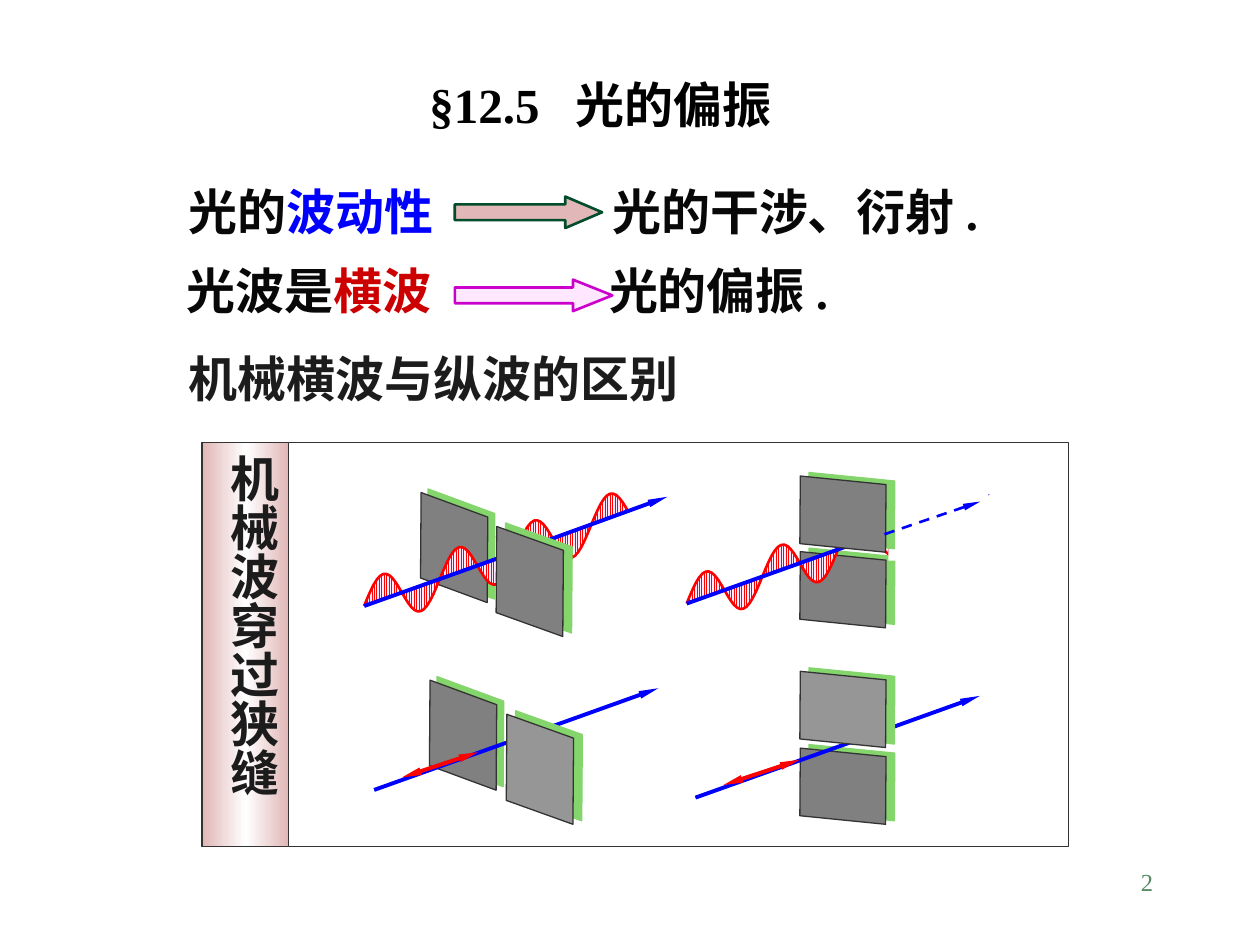
"""Build the slide on polarised light and mechanical waves passing a slit."""
from dataclasses import dataclass
from math import pi, sin
from typing import NamedTuple, Optional

from lxml.etree import SubElement
from pptx import Presentation
from pptx.dml.color import RGBColor
from pptx.enum.dml import MSO_LINE as Dash, MSO_PATTERN as Pattern
from pptx.enum.shapes import MSO_CONNECTOR as Connector, MSO_SHAPE as Shape
from pptx.enum.text import PP_ALIGN as Align
from pptx.oxml.ns import qn
from pptx.util import Pt


@dataclass(frozen=True)
class Theme:
    font: str = "Times New Roman"
    body_size: float = 28
    number_size: float = 14
    hairline: float = 0.75
    thin: float = 1.5
    thick: float = 2.25
    black: str = "000000"
    ink: str = "080808"
    soft_ink: str = "1C1C1C"
    number: str = "578963"
    blue: str = "0000FF"
    crimson: str = "CC0000"
    red: str = "FF0000"
    wave_back: str = "FFEBFF"
    rose: str = "E1B7B7"
    green: str = "004C2B"
    lilac: str = "FFE7FF"
    magenta: str = "CC00CC"
    edge: str = "333333"
    dark_slab: str = "808080"
    light_slab: str = "969696"
    slab_shadow: str = "84D56B"
    white: str = "FFFFFF"


class Box(NamedTuple):
    left: float
    top: float
    width: float
    height: float


class Point(NamedTuple):
    x: float
    y: float

    def shifted(self, dx: float, dy: float) -> "Point":
        return Point(self.x + dx, self.y + dy)


class Span(NamedTuple):
    text: str
    color: str


@dataclass(frozen=True)
class TextLine:
    box: Box
    spans: tuple[Span, ...]
    tab: Optional[float] = None
    spacing: Optional[float] = None
    size: float = Theme.body_size
    bold: bool = True
    align: Align = Align.LEFT


@dataclass(frozen=True)
class BlockArrow:
    box: Box
    head: float
    fill: str
    line: str


@dataclass(frozen=True)
class Slab:
    box: Box
    skew: float
    fill: str = Theme.dark_slab
    distance: float = 5.4
    angle: float = 338


@dataclass(frozen=True)
class Panel:
    axis: Point
    rear: Slab
    front: Slab
    transverse: bool = False
    blocked: bool = False


THEME = Theme()
HALF_AXIS = Point(81, -28.9)
FAR_AXIS = {False: Point(81.4, -29.2), True: Point(92.2, -33.5)}
MASK = Box(507.6, 277.2, 56.9, 43.2)
FADED_RAY = (Point(505.4, 305.3), Point(560.2, 286.6))
FRAME = Box(115.2, 252.7, 495.4, 231.1)
LABEL = Box(115.9, 252.7, 49, 231.1)


def upright(left: float, top: float, skew: float, **style) -> Slab:
    return Slab(Box(left, top, 62.6, 38.2), skew, **style)


def flat(top: float, **style) -> Slab:
    return Slab(Box(460.1, top, 43.2, 49), 0.105, **style)


TEXT_LINES = (
    TextLine(Box(516.2, 491.8, 149.8, 36), (Span("2", THEME.number),),
             size=THEME.number_size, bold=False, align=Align.RIGHT),
    TextLine(Box(100.8, 105.1, 576, 36),
             (Span("光的", THEME.ink), Span("波动性", THEME.blue),
              Span("\t光的干涉、衍射 .", THEME.ink)), tab=242, spacing=0.85),
    TextLine(Box(99.4, 150.5, 392.4, 36),
             (Span("光波是", THEME.ink), Span("横波", THEME.crimson),
              Span("\t光的偏振 .", THEME.ink)), tab=241.5, spacing=0.85),
    TextLine(Box(100.8, 195.8, 419.8, 41), (Span("机械横波与纵波的区别", THEME.soft_ink),)),
    TextLine(Box(238.3, 38.9, 254.2, 41), (Span("§12.5\t光的偏振", THEME.black),), tab=83.5),
)
BLOCK_ARROWS = (
    BlockArrow(Box(259.9, 112.3, 84.2, 18), 1.17, THEME.rose, THEME.green),
    BlockArrow(Box(259.9, 159.8, 90, 18), 1.25, THEME.lilac, THEME.magenta),
)
PANELS = (
    Panel(Point(213.8, 451.4), upright(233.3, 401, 0.36, distance=4.5, angle=333),
          upright(277.2, 420.5, 0.35, fill=THEME.light_slab)),
    Panel(Point(397.4, 455.8), flat(424.8), flat(380.9, fill=THEME.light_slab)),
    Panel(Point(208.1, 346.3), upright(228.2, 293.8, 0.36, distance=4.5, angle=333),
          upright(271.4, 313.2, 0.35), transverse=True),
    Panel(Point(392.4, 344.9), flat(312.5), flat(269.3), transverse=True, blocked=True),
)


def points(values: tuple) -> list[Pt]:
    return [Pt(value) for value in values]


def add_text(slide, line: TextLine) -> None:
    frame = slide.shapes.add_textbox(*points(line.box)).text_frame
    frame.word_wrap = True
    write_spans(frame.paragraphs[0], line.spans, line.size, line.bold, line.align)
    paragraph = frame.paragraphs[0]
    if line.spacing:
        paragraph.line_spacing = line.spacing
    if line.tab:
        tabs = SubElement(paragraph._p.get_or_add_pPr(), qn("a:tabLst"))
        SubElement(tabs, qn("a:tab"), pos=str(Pt(line.tab)), algn="l")


def write_spans(paragraph, spans: tuple[Span, ...], size: float, bold: bool, align: Align) -> None:
    paragraph.alignment = align
    for span in spans:
        run = paragraph.add_run()
        run.text = span.text
        run.font.name, run.font.size, run.font.bold = THEME.font, Pt(size), bold
        run.font.color.rgb = RGBColor.from_string(span.color)


def paint(shape, fill: Optional[str], line: Optional[str], width: float = THEME.hairline) -> None:
    shape.shadow.inherit = False
    if fill:
        shape.fill.solid()
        shape.fill.fore_color.rgb = RGBColor.from_string(fill)
    else:
        shape.fill.background()
    if line:
        shape.line.color.rgb = RGBColor.from_string(line)
        shape.line.width = Pt(width)
    else:
        shape.line.fill.background()


def add_box(slide, kind: Shape, box: Box, fill: Optional[str], line: Optional[str],
            width: float = THEME.hairline):
    shape = slide.shapes.add_shape(kind, *points(box))
    paint(shape, fill, line, width)
    return shape


def add_block_arrow(slide, arrow: BlockArrow) -> None:
    shape = add_box(slide, Shape.RIGHT_ARROW, arrow.box, arrow.fill, arrow.line, THEME.thin)
    shape.adjustments[1] = arrow.head


def add_slab(slide, slab: Slab) -> None:
    shape = add_box(slide, Shape.PARALLELOGRAM, slab.box, slab.fill, THEME.edge)
    shape.adjustments[0] = slab.skew
    shape.rotation = 90.4
    effects = shape.element.spPr.find(qn("a:effectLst"))
    shadow = SubElement(effects, qn("a:outerShdw"), dist=str(Pt(slab.distance)),
                        dir=str(int(slab.angle * 60000)), algn="ctr", rotWithShape="0")
    SubElement(shadow, qn("a:srgbClr"), val=THEME.slab_shadow)


def add_ray(slide, start: Point, end: Point, color: str, ends: tuple[str, ...] = (),
            width: float = THEME.thick, dash: Optional[Dash] = None) -> None:
    ray = slide.shapes.add_connector(Connector.STRAIGHT, *points(start + end))
    ray.line.color.rgb = RGBColor.from_string(color)
    ray.line.width = Pt(width)
    if dash:
        ray.line.dash_style = dash
    for end_name in ends:
        SubElement(ray.line._get_or_add_ln(), qn(f"a:{end_name}"), type="triangle", w="sm", len="lg")
    SubElement(ray.element.spPr, qn("a:effectLst"))


def add_wave(slide, start: Point) -> None:
    period, amplitude, slope, steps = 43.2, 14.4, -0.354, 84
    length = 3.5 * period
    offsets = [length * step / steps for step in range(steps + 1)]
    curve = [points(start.shifted(dx, slope * dx - amplitude * sin(2 * pi * dx / period)))
             for dx in offsets]
    builder = slide.shapes.build_freeform(*curve[0])
    builder.add_line_segments(curve[1:], close=False)
    wave = builder.convert_to_shape()
    paint(wave, None, THEME.red, THEME.thin)
    wave.fill.patterned()
    wave.fill.pattern = Pattern.LIGHT_VERTICAL
    wave.fill.fore_color.rgb = RGBColor.from_string(THEME.red)
    wave.fill.back_color.rgb = RGBColor.from_string(THEME.wave_back)


def add_panel(slide, panel: Panel) -> None:
    middle = panel.axis.shifted(*HALF_AXIS)
    add_slab(slide, panel.rear)
    if panel.transverse:
        add_wave(slide, panel.axis)
    add_ray(slide, middle, middle.shifted(*FAR_AXIS[panel.transverse]), THEME.blue, ("tailEnd",))
    add_ray(slide, panel.axis, middle, THEME.blue)
    if not panel.transverse:
        add_ray(slide, panel.axis.shifted(16, -7.2), panel.axis.shifted(59.5, -21.6),
                THEME.red, ("headEnd", "tailEnd"))
    if panel.blocked:
        add_box(slide, Shape.RECTANGLE, MASK, THEME.white, None)
    add_slab(slide, panel.front)
    if panel.blocked:
        add_ray(slide, *FADED_RAY, THEME.blue, ("tailEnd",), THEME.thin, Dash.DASH)


def add_label(slide) -> None:
    label = add_box(slide, Shape.RECTANGLE, LABEL, None, THEME.edge)
    label.fill.gradient()
    label.fill.gradient_angle = 0
    stops = label.element.spPr.find(qn("a:gradFill")).find(qn("a:gsLst"))
    stops.clear()
    for position, color in ((0, THEME.rose), (50000, THEME.white), (100000, THEME.rose)):
        stop = SubElement(stops, qn("a:gs"), pos=str(position))
        SubElement(stop, qn("a:srgbClr"), val=color)
    body = label.text_frame._txBody.bodyPr
    body.set("vert", "eaVert")
    body.set("anchor", "t")
    write_spans(label.text_frame.paragraphs[0], (Span("机械波穿过狭缝", THEME.soft_ink),),
                THEME.body_size, True, Align.LEFT)


def main() -> None:
    presentation = Presentation()
    presentation.slide_width, presentation.slide_height = Pt(720), Pt(540)
    slide = presentation.slides.add_slide(presentation.slide_layouts[6])
    for line in TEXT_LINES:
        add_text(slide, line)
    for arrow in BLOCK_ARROWS:
        add_block_arrow(slide, arrow)
    add_box(slide, Shape.RECTANGLE, FRAME, None, THEME.edge)
    for panel in PANELS:
        add_panel(slide, panel)
    add_label(slide)
    presentation.save("out.pptx")


if __name__ == "__main__":
    main()
